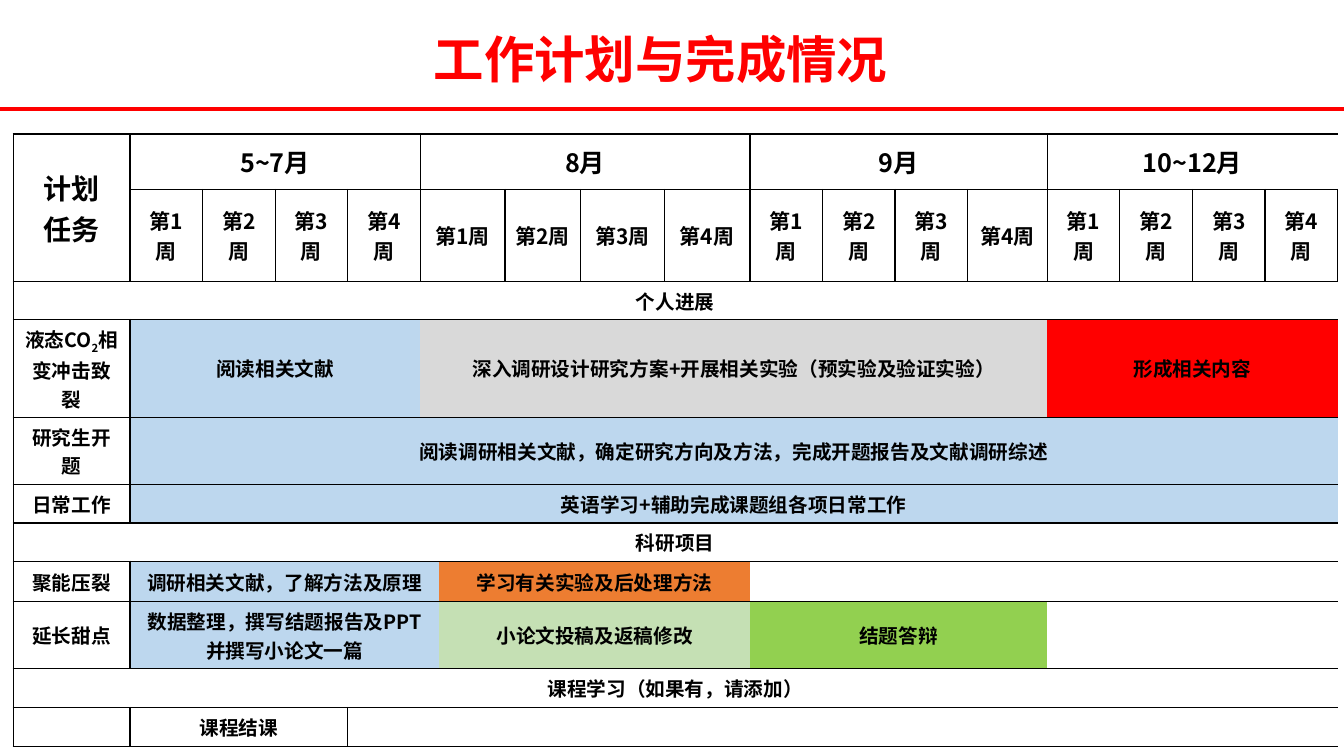
from lxml import etree
from pptx import Presentation
from pptx.dml.color import RGBColor
from pptx.enum.shapes import MSO_CONNECTOR
from pptx.enum.text import MSO_ANCHOR, PP_ALIGN
from pptx.oxml.ns import qn
from pptx.util import Inches, Pt

CENTER = PP_ALIGN.CENTER
MIDDLE = MSO_ANCHOR.MIDDLE
STRAIGHT = MSO_CONNECTOR.STRAIGHT

FONT = "Noto Sans CJK SC"
NO_STYLE = "{2D5ABB26-0587-4C30-8999-92F81FD0307C}"
COLORS = {
    "black": "000000", "red": "FF0000", "blue": "BDD7EE", "gray": "D9D9D9",
    "orange": "ED7D31", "mint": "C5E0B4", "green": "92D050",
}
WIDTH, HEIGHT = 13.33, 7.5

COLUMNS = [1.16, 0.72, 0.72, 0.72, 0.72, 0.19, 0.65, 0.75, 0.83, 0.85,
           0.72, 0.72, 0.72, 0.66, 0.13, 0.72, 0.72, 0.72, 0.72]
ROWS = [0.55, 0.91, 0.38, 0.97, 0.67, 0.38, 0.38, 0.4, 0.66, 0.39, 0.39]

# Month title and the grid columns taken by each of its four weeks
MONTHS = [("5~7月", [1, 1, 1, 1]), ("8月", [2, 1, 1, 1]),
          ("9月", [1, 1, 1, 2]), ("10~12月", [1, 1, 1, 1])]

# Each cell: text, columns taken, fill, sides with a border; _x_ is a subscript
ALL = "LRTB"
TASKS = [
    [("个人进展", 19, None, ALL)],
    [("液态CO_2_相变冲击致裂", 1, None, ALL), ("阅读相关文献", 4, "blue", "LTB"),
     ("深入调研设计研究方案+开展相关实验（预实验及验证实验）", 10, "gray", "TB"),
     ("形成相关内容", 4, "red", "TB")],
    [("研究生开题", 1, None, ALL),
     ("阅读调研相关文献，确定研究方向及方法，完成开题报告及文献调研综述", 18, "blue", ALL)],
    [("日常工作", 1, None, ALL),
     ("英语学习+辅助完成课题组各项日常工作", 18, "blue", ALL)],
    [("科研项目", 19, None, ALL)],
    [("聚能压裂", 1, None, ALL), ("调研相关文献，了解方法及原理", 5, "blue", "LTB"),
     ("学习有关实验及后处理方法", 4, "orange", "TB"),
     ("", 4, None, "TB"), ("", 5, None, "TB")],
    [("延长甜点", 1, None, ALL),
     ("数据整理，撰写结题报告及PPT\n并撰写小论文一篇", 5, "blue", "LTB"),
     ("小论文投稿及返稿修改", 4, "mint", "T"),
     ("结题答辩", 5, "green", "TB"), ("", 4, None, "TB")],
    [("课程学习（如果有，请添加）", 19, None, ALL)],
    [("", 1, None, ALL), ("课程结课", 3, None, ALL), ("", 15, None, "LTB")],
]


def write(frame, text, size, color="black"):
    for index, line in enumerate(text.split("\n")):
        paragraph = frame.add_paragraph() if index else frame.paragraphs[0]
        for position, part in enumerate(line.split("_")):
            if part:
                run = paragraph.add_run()
                run.text = part
                if position % 2:
                    run._r.get_or_add_rPr().set("baseline", "-25000")
        paragraph.alignment = CENTER
        font = paragraph.font
        font.size, font.bold, font.name = Pt(size), True, FONT
        font.color.rgb = RGBColor.from_string(COLORS[color])
        properties = paragraph._p.find(qn("a:pPr")).find(qn("a:defRPr"))
        etree.SubElement(properties, qn("a:ea"), typeface=FONT)


def draw_borders(cell, sides):
    properties = cell._tc.get_or_add_tcPr()
    for side in ALL:
        line = etree.SubElement(properties, qn("a:ln" + side), w=str(Pt(1)))
        if side in sides:
            fill = etree.SubElement(line, qn("a:solidFill"))
            etree.SubElement(fill, qn("a:srgbClr"), val=COLORS["black"])
        else:
            etree.SubElement(line, qn("a:noFill"))


def fill_block(table, row, column, text, size, span=1, fill=None, sides=ALL, depth=1):
    """Merge a block of cells, outline it and write its text."""
    last_row, last_column = row + depth - 1, column + span - 1
    for r in range(row, last_row + 1):
        for c in range(column, last_column + 1):
            cell = table.cell(r, c)
            edges = {"L": c == column, "R": c == last_column,
                     "T": r == row, "B": r == last_row}
            draw_borders(cell, [side for side in sides if edges[side]])
            if fill:
                cell.fill.solid()
                cell.fill.fore_color.rgb = RGBColor.from_string(COLORS[fill])
            else:
                cell.fill.background()
            cell.vertical_anchor = MIDDLE
            write(cell.text_frame, text if (r, c) == (row, column) else "", size)
    if span > 1 or depth > 1:
        table.cell(row, column).merge(table.cell(last_row, last_column))


def add_header(slide, left, top, width, height):
    # Title
    box = slide.shapes.add_textbox(Inches(left + 2.59), Inches(top + 0.19),
                                   Inches(7.92), Inches(0.78))
    box.text_frame.word_wrap = True
    box.text_frame.vertical_anchor = MIDDLE
    write(box.text_frame, "工作计划与完成情况", 36, "red")

    # Rule below the title
    bottom = Inches(top + height)
    rule = slide.shapes.add_connector(STRAIGHT, Inches(left), bottom,
                                      Inches(left + width), bottom)
    rule.line.color.rgb = RGBColor.from_string(COLORS["red"])
    rule.line.width = Pt(3)
    etree.SubElement(rule._element.spPr, qn("a:effectLst"))


def add_plan(slide, left, top):
    frame = slide.shapes.add_table(len(ROWS), len(COLUMNS), Inches(left), Inches(top),
                                   Inches(sum(COLUMNS)), Inches(sum(ROWS)))
    table = frame.table
    table.first_row = table.horz_banding = False
    table._tbl.tblPr.find(qn("a:tableStyleId")).text = NO_STYLE
    for column, width in zip(table.columns, COLUMNS):
        column.width = Inches(width)
    for row, height in zip(table.rows, ROWS):
        row.height = Inches(height)

    # Months and weeks
    fill_block(table, 0, 0, "计划\n任务", 20, depth=2)
    column = 1
    for month, weeks in MONTHS:
        fill_block(table, 0, column, month, 18, sum(weeks))
        for number, span in enumerate(weeks, 1):
            fill_block(table, 1, column, f"第{number}周", 15, span)
            column += span

    # Tasks
    for row, blocks in enumerate(TASKS, 2):
        column = 0
        for text, span, fill, sides in blocks:
            fill_block(table, row, column, text, 14, span, fill, sides)
            column += span


def main():
    presentation = Presentation()
    presentation.slide_width = Inches(WIDTH)
    presentation.slide_height = Inches(HEIGHT)
    slide = presentation.slides.add_slide(presentation.slide_layouts[6])
    add_header(slide, 0, 0, WIDTH, 1.08)
    add_plan(slide, 0.13, 1.33)
    presentation.save("out.pptx")


if __name__ == "__main__":
    main()
